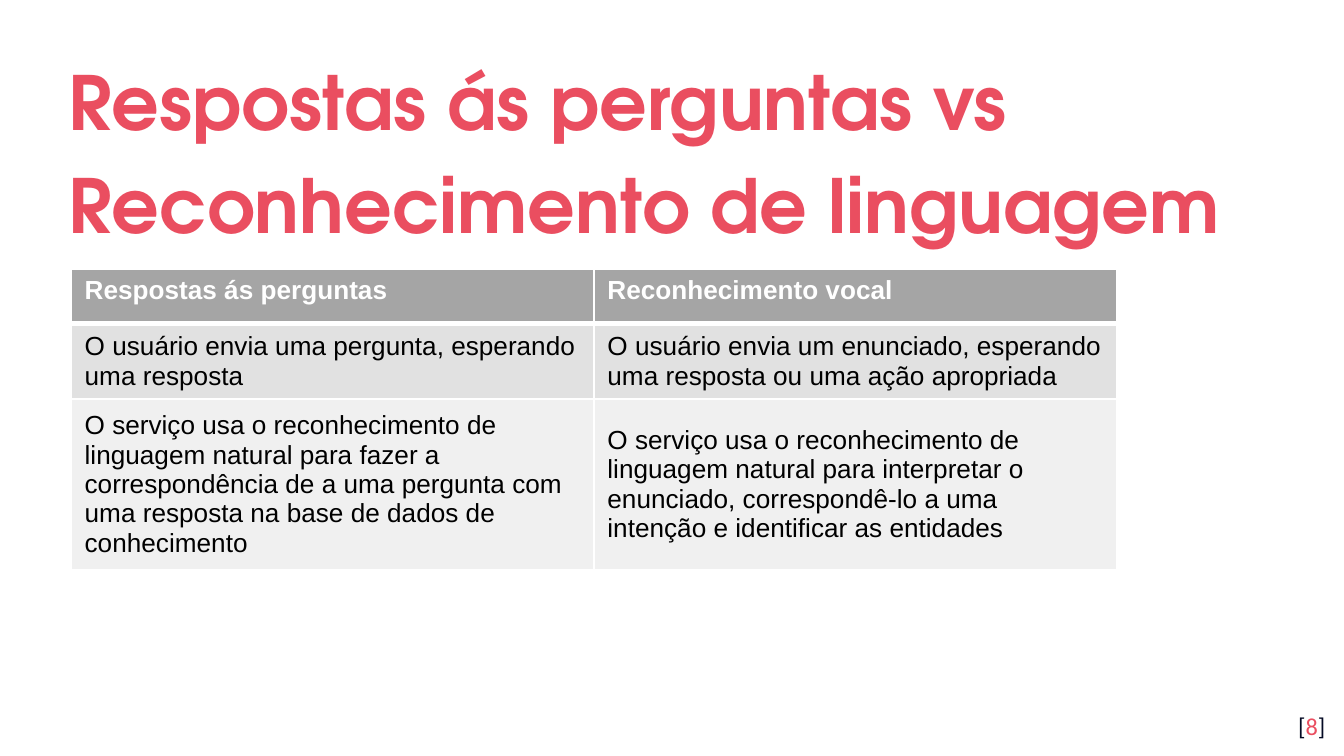
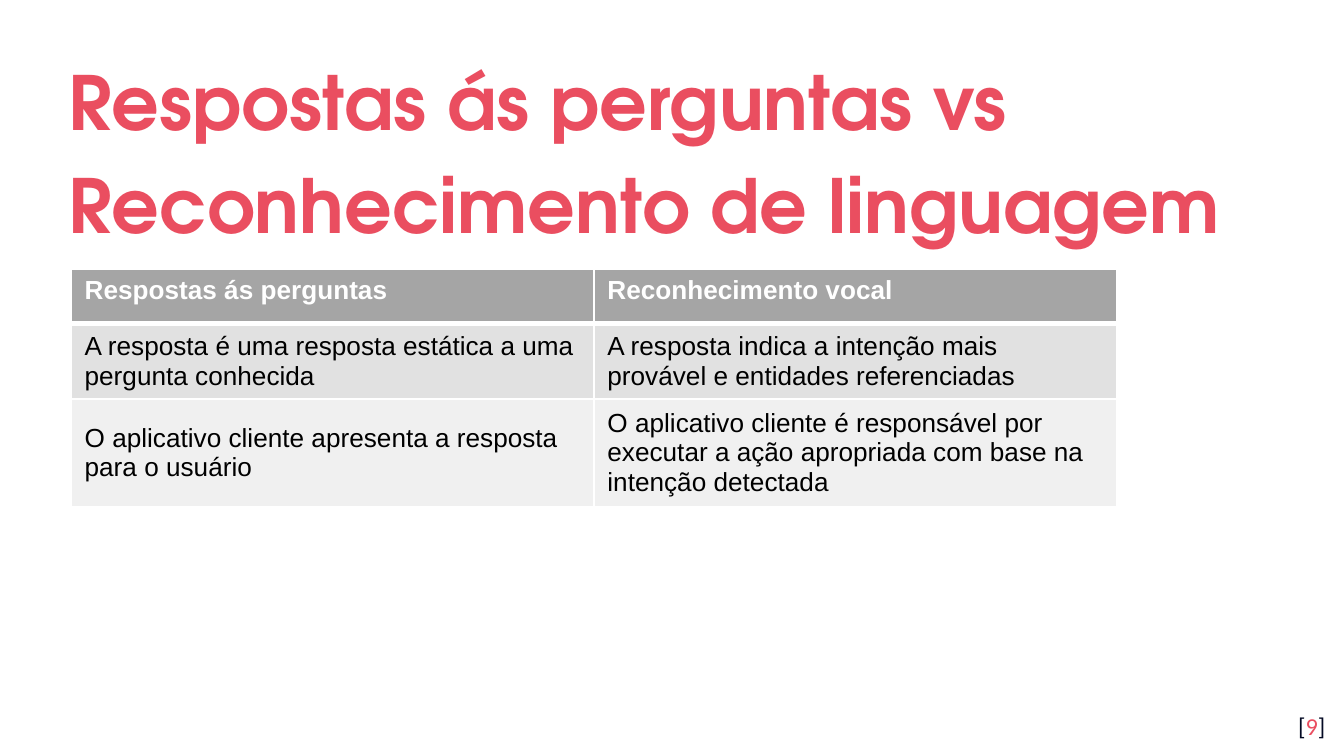
"""Builds two slides comparing question answering with language understanding."""
from lxml.etree import SubElement
from pptx import Presentation
from pptx.dml.color import RGBColor
from pptx.enum.text import MSO_ANCHOR as Anchor, MSO_AUTO_SIZE as AutoSize, PP_ALIGN as Align
from pptx.oxml.ns import qn
from pptx.util import Inches, Pt

TITLE = "Respostas ás perguntas vs Reconhecimento de linguagem"
HEADINGS = ("Respostas ás perguntas", "Reconhecimento vocal")
COMPARISONS = [
    {
        "number": 8,
        "heights": (0.41, 0.56, 1.27),
        "rows": [
            ("O usuário envia uma pergunta, esperando uma resposta",
             "O usuário envia um enunciado, esperando uma resposta ou uma ação apropriada"),
            ("O serviço usa o reconhecimento de linguagem natural para fazer a correspondência "
             "de a uma pergunta com uma resposta na base de dados de conhecimento",
             "O serviço usa o reconhecimento de linguagem natural para interpretar o enunciado, "
             "correspondê-lo a uma intenção e identificar as entidades"),
        ],
    },
    {
        "number": 9,
        "heights": (0.41, 0.56, 0.8),
        "rows": [
            ("A resposta é uma resposta estática a uma pergunta conhecida",
             "A resposta indica a intenção mais provável e entidades referenciadas"),
            ("O aplicativo cliente apresenta a resposta para o usuário",
             "O aplicativo cliente é responsável por executar a ação apropriada com base na "
             "intenção detectada"),
        ],
    },
]

CORAL = RGBColor(0xEA, 0x4E, 0x60)
NAVY = RGBColor(0x04, 0x0A, 0x24)
WHITE = RGBColor(0xFF, 0xFF, 0xFF)
BLACK = RGBColor(0, 0, 0)
ROW_FILLS = (RGBColor(0xA5, 0xA5, 0xA5), RGBColor(0xE1, 0xE1, 0xE1), RGBColor(0xF0, 0xF0, 0xF0))

SLIDE_WIDTH = 10
SLIDE_HEIGHT = SLIDE_WIDTH * 9 / 16
TITLE_BOX = (0.41, 0.62, 9.25, 0.92)
NUMBER_BOX = (9.36, 5.19, 0.6, 0.43)
TABLE_LEFT, TABLE_TOP, COLUMN_WIDTH = 0.53, 2, 3.89


def style(run, font, size, color, bold=False):
    run.font.name, run.font.size, run.font.bold = font, Pt(size), bold
    run.font.color.rgb = color


def pad(frame):
    frame.word_wrap, frame.auto_size = True, AutoSize.NONE
    frame.margin_left = frame.margin_right = frame.margin_top = frame.margin_bottom = Inches(0.1)


def add_title(slide):
    title = slide.shapes.title
    title.left, title.top, title.width, title.height = map(Inches, TITLE_BOX)
    frame = title.text_frame
    frame.text = TITLE
    pad(frame)
    frame.vertical_anchor = Anchor.MIDDLE
    heading = frame.paragraphs[0]
    heading.alignment, heading.line_spacing = Align.LEFT, 1.15
    style(heading.runs[0], "TeX Gyre Adventor", 40, CORAL, True)


def add_number(slide, number):
    frame = slide.shapes.add_textbox(*map(Inches, NUMBER_BOX)).text_frame
    pad(frame)
    footer = frame.paragraphs[0]
    footer.alignment = Align.RIGHT
    for text, color in (("[", NAVY), (str(number), CORAL), ("]", NAVY)):
        run = footer.add_run()
        run.text = text
        style(run, "Calibri", 13, color)


def set_borders(cell, widths):
    properties = cell._tc.get_or_add_tcPr()
    for position, (side, width) in enumerate(widths.items()):
        line = properties.makeelement(qn(f"a:{side}"), {"w": str(Pt(width))})
        SubElement(SubElement(line, qn("a:solidFill")), qn("a:srgbClr"), val=str(WHITE))
        properties.insert(position, line)


def add_comparison(slide, rows, heights):
    contents = [HEADINGS, *rows]
    table = slide.shapes.add_table(
        len(contents), len(HEADINGS), Inches(TABLE_LEFT), Inches(TABLE_TOP),
        Inches(COLUMN_WIDTH * len(HEADINGS)), Inches(sum(heights))).table
    for column in table.columns:
        column.width = Inches(COLUMN_WIDTH)
    for index, (texts, height, fill) in enumerate(zip(contents, heights, ROW_FILLS)):
        table.rows[index].height = Inches(height)
        is_header = index == 0
        for cell, text in zip(table.rows[index].cells, texts):
            cell.text = text
            cell.vertical_anchor = Anchor.TOP if is_header else Anchor.MIDDLE
            cell.fill.solid()
            cell.fill.fore_color.rgb = fill
            style(cell.text_frame.paragraphs[0].runs[0], "Arial", 14,
                  WHITE if is_header else BLACK, is_header)
            set_borders(cell, {"lnL": 1, "lnR": 1, "lnT": 3 if index == 1 else 1,
                               "lnB": 3 if is_header else 1})


def main():
    deck = Presentation()
    deck.slide_width, deck.slide_height = Inches(SLIDE_WIDTH), Inches(SLIDE_HEIGHT)
    title_only = deck.slide_layouts[5]
    for comparison in COMPARISONS:
        slide = deck.slides.add_slide(title_only)
        add_title(slide)
        add_number(slide, comparison["number"])
        add_comparison(slide, comparison["rows"], comparison["heights"])
    deck.save("out.pptx")


if __name__ == "__main__":
    main()
